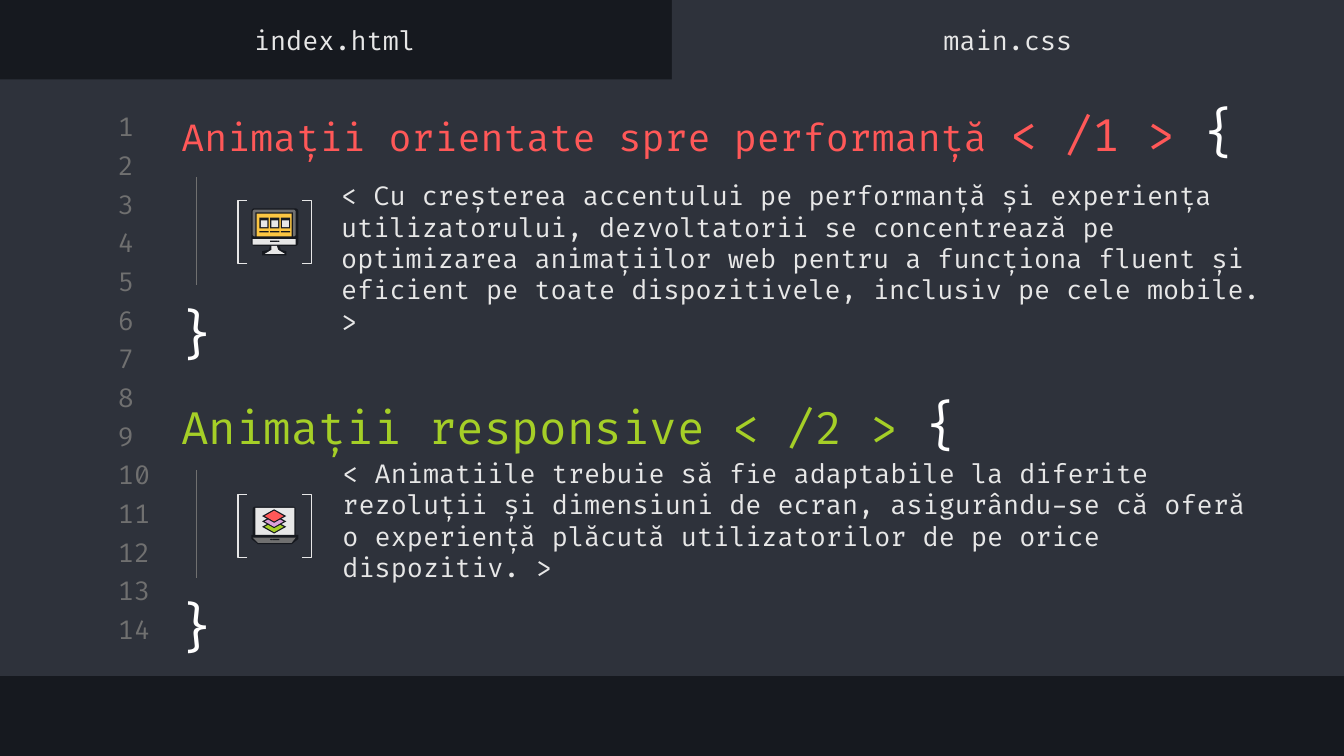
from dataclasses import dataclass

from lxml import etree
from pptx import Presentation
from pptx.dml.color import RGBColor
from pptx.enum import shapes, text
from pptx.oxml.ns import qn
from pptx.util import Inches, Pt

DARK = RGBColor(0x16, 0x19, 0x1F)
PANEL = RGBColor(0x2E, 0x32, 0x3B)
GREY = RGBColor(0x70, 0x70, 0x70)
LIGHT = RGBColor(0xE7, 0xE7, 0xE7)
WHITE = RGBColor(0xFF, 0xFF, 0xFF)
RED = RGBColor(0xFF, 0x58, 0x58)
GREEN = RGBColor(0xA5, 0xCF, 0x27)
PINK = RGBColor(0xDB, 0xA0, 0xDB)
YELLOW = RGBColor(0xFC, 0xC6, 0x42)
FONT = "Fira Code"

PRESET = shapes.MSO_SHAPE
LEFT, CENTER = text.PP_ALIGN.LEFT, text.PP_ALIGN.CENTER
TOP, MIDDLE = text.MSO_ANCHOR.TOP, text.MSO_ANCHOR.MIDDLE


@dataclass
class Box:
    left: float
    top: float
    width: float
    height: float

    def lengths(self):
        return [Inches(v) for v in (self.left, self.top, self.width, self.height)]


@dataclass
class Span:
    words: str
    size: float
    color: RGBColor


@dataclass
class Section:
    heading: list[Span]
    heading_box: Box
    body: str
    body_box: Box
    bracket_top: float
    rule_top: float


def write(shape, spans: list[Span], align=LEFT, anchor=MIDDLE) -> None:
    frame = shape.text_frame
    frame.word_wrap = True
    frame.auto_size = text.MSO_AUTO_SIZE.NONE
    frame.vertical_anchor = anchor
    frame.margin_left = frame.margin_right = Inches(0.1)
    frame.margin_top = frame.margin_bottom = Inches(0.1)
    para = frame.paragraphs[0]
    para.alignment = align
    para.font.name = FONT
    if len(spans) == 1:
        para.font.size = Pt(spans[0].size)
        para.font.color.rgb = spans[0].color
    for span in spans:
        run = para.add_run()
        run.text = span.words
        if len(spans) > 1:
            run.font.size = Pt(span.size)
            run.font.color.rgb = span.color


def add_text(page, box: Box, spans: list[Span], align=LEFT, anchor=MIDDLE) -> None:
    write(page.shapes.add_textbox(*box.lengths()), spans, align, anchor)


def paint(shape, color: RGBColor) -> None:
    shape.shadow.inherit = False
    shape.fill.solid()
    shape.fill.fore_color.rgb = color
    shape.line.fill.background()


def add_block(page, box: Box, color: RGBColor, kind=PRESET.RECTANGLE) -> None:
    shape = page.shapes.add_shape(kind, *box.lengths())
    if kind == PRESET.ROUNDED_RECTANGLE:
        shape.adjustments[0] = 0.08
    paint(shape, color)


def add_outline(page, points: list[tuple[float, float]], color: RGBColor) -> None:
    start, *rest = [(Inches(x), Inches(y)) for x, y in points]
    builder = page.shapes.build_freeform(*start)
    builder.add_line_segments(rest, close=True)
    paint(builder.convert_to_shape(), color)


def add_bracket(page, kind, left: float, top: float) -> None:
    bracket = page.shapes.add_shape(kind, *Box(left, top, 0.07, 0.47).lengths())
    bracket.adjustments[0] = 0
    bracket.shadow.inherit = False
    bracket.fill.background()
    bracket.line.color.rgb = LIGHT
    bracket.line.width = Pt(0.75)


def add_rule(page, x: float, top: float, length: float) -> None:
    rule = page.shapes.add_connector(
        shapes.MSO_CONNECTOR.STRAIGHT, Inches(x), Inches(top), Inches(x), Inches(top + length))
    rule.line.color.rgb = GREY
    rule.line.width = Pt(0.75)
    etree.SubElement(rule._element.spPr, qn("a:effectLst"))


def add_monitor(page) -> None:
    # Case and screen
    add_block(page, Box(1.87, 1.55, 0.35, 0.28), DARK, PRESET.ROUNDED_RECTANGLE)
    add_block(page, Box(1.88, 1.56, 0.32, 0.2), GREY, PRESET.ROUNDED_RECTANGLE)
    add_block(page, Box(1.9, 1.58, 0.28, 0.19), DARK)
    add_block(page, Box(1.91, 1.59, 0.26, 0.17), YELLOW)
    add_block(page, Box(1.88, 1.78, 0.32, 0.04), LIGHT)
    # Stand
    add_outline(page, [(2.01, 1.83), (2.08, 1.83), (2.09, 1.86), (2.13, 1.87), (2.13, 1.9),
                       (1.95, 1.9), (1.95, 1.87), (2, 1.86)], DARK)
    add_outline(page, [(2.02, 1.83), (2.06, 1.83), (2.07, 1.86), (2.12, 1.89), (1.97, 1.89),
                       (2.02, 1.86)], LIGHT)
    # Windows with captions
    for column in range(3):
        left = 1.93 + 0.08 * column
        add_block(page, Box(left, 1.62, 0.07, 0.08), DARK)
        add_block(page, Box(left + 0.01, 1.64, 0.05, 0.05), LIGHT)
        add_block(page, Box(left, 1.72, 0.07, 0.01), DARK)
    # Buttons
    add_block(page, Box(2.01, 1.79, 0.05, 0.01), DARK)
    add_block(page, Box(2.06, 1.79, 0.02, 0.01), DARK, PRESET.OVAL)


def add_laptop(page) -> None:
    # Screen
    add_block(page, Box(1.88, 3.77, 0.32, 0.22), DARK, PRESET.ROUNDED_RECTANGLE)
    add_block(page, Box(1.9, 3.78, 0.29, 0.2), LIGHT)
    # Base
    add_outline(page, [(1.87, 3.98), (2.22, 3.98), (2.22, 4.01), (2.17, 4.05), (1.92, 4.05),
                       (1.87, 4.01)], DARK)
    add_outline(page, [(1.88, 4), (2.2, 4), (2.17, 4.04), (1.92, 4.04)], GREY)
    add_block(page, Box(2.01, 4.01, 0.02, 0.01), DARK, PRESET.OVAL)
    add_block(page, Box(2.03, 4.01, 0.05, 0.01), DARK)
    # Stacked layers, lowest first
    for level, color in enumerate((GREEN, PINK, RED)):
        middle = 3.92 - 0.04 * level
        add_block(page, Box(1.95, middle - 0.05, 0.18, 0.1), DARK, PRESET.DIAMOND)
        add_block(page, Box(1.97, middle - 0.04, 0.14, 0.08), color, PRESET.DIAMOND)


SECTIONS = [
    Section([Span("Animații orientate spre performanță ", 20, RED),
             Span("< /1 > ", 24, RED), Span("{", 28, WHITE)],
            Box(1.25, 0.68, 8.33, 0.58),
            "< Cu creșterea accentului pe performanță și experiența utilizatorului, "
            "dezvoltatorii se concentrează pe optimizarea animațiilor web pentru a funcționa "
            "fluent și eficient pe toate dispozitivele, inclusiv pe cele mobile. >",
            Box(2.44, 1.49, 7.15, 0.86), 1.49, 1.32),
    Section([Span("Animații responsive < /2 > ", 24, GREEN), Span("{", 28, WHITE)],
            Box(1.25, 2.86, 6.94, 0.58),
            "< Animatiile trebuie să fie adaptabile la diferite rezoluții și dimensiuni de "
            "ecran, asigurându-se că oferă o experiență plăcută utilizatorilor de pe orice "
            "dispozitiv. >",
            Box(2.45, 3.44, 7.07, 0.86), 3.68, 3.5),
]


def main() -> None:
    deck = Presentation()
    deck.slide_width = Inches(10)
    deck.slide_height = deck.slide_width * 9 // 16
    page = deck.slides.add_slide(deck.slide_layouts[5])
    page.background.fill.solid()
    page.background.fill.fore_color.rgb = DARK

    # Editor panel and active tab
    add_block(page, Box(0, 0.59, 10, 4.44), PANEL)
    add_block(page, Box(5, 0, 5, 0.65), PANEL)
    for left, name in ((-0.01, "index.html"), (5, "main.css")):
        add_text(page, Box(left, 0.1, 5, 0.39), [Span(name, 14, LIGHT)], CENTER)

    # Line numbers
    first_top, last_top, count = 0.82, 4.56, 14
    step = (last_top - first_top) / (count - 1)
    for index in range(count):
        add_text(page, Box(0.78, first_top + step * index, 0.47, 0.24),
                 [Span(str(index + 1), 14, GREY)])

    # Code sections; the first heading is the slide title, raised above the panel
    for index, section in enumerate(SECTIONS):
        if index == 0:
            title = page.shapes.title
            title.left, title.top, title.width, title.height = section.heading_box.lengths()
            title._element.getparent().append(title._element)
            write(title, section.heading)
        else:
            add_text(page, section.heading_box, section.heading)
        add_text(page, section.body_box, [Span(section.body, 14, LIGHT)])
        add_bracket(page, PRESET.LEFT_BRACKET, 1.77, section.bracket_top)
        add_bracket(page, PRESET.RIGHT_BRACKET, 2.25, section.bracket_top)
        add_rule(page, 1.46, section.rule_top, 0.8)
        add_text(page, Box(1.19, section.rule_top + 0.82, 0.55, 0.67),
                 [Span("}", 28, WHITE)], CENTER, TOP)

    # Icons
    add_monitor(page)
    add_laptop(page)
    deck.save("out.pptx")


if __name__ == "__main__":
    main()
